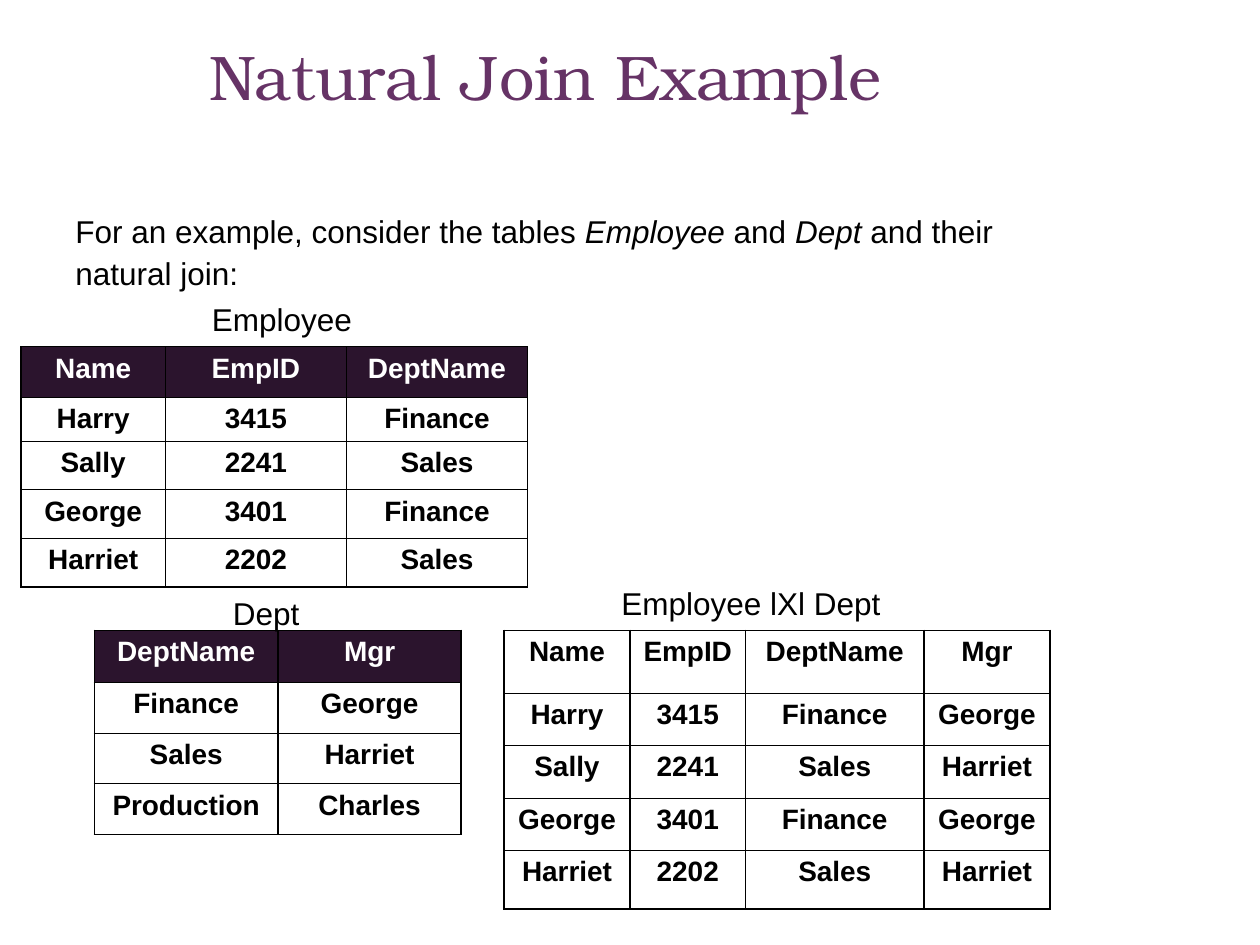
from lxml.etree import SubElement
from pptx import Presentation
from pptx.dml.color import RGBColor
from pptx.enum.text import MSO_ANCHOR as Anchor, MSO_AUTO_SIZE as AutoSize, PP_ALIGN as Align
from pptx.oxml.ns import qn
from pptx.util import Pt

BLACK, WHITE, PURPLE, PLUM = "000000", "FFFFFF", "663366", "2B142D"
THIN, THICK = 0.45, 1.08

EMPLOYEES = [
    ("Harry", "3415", "Finance"),
    ("Sally", "2241", "Sales"),
    ("George", "3401", "Finance"),
    ("Harriet", "2202", "Sales"),
]
DEPARTMENTS = [("Finance", "George"), ("Sales", "Harriet"), ("Production", "Charles")]
EMPLOYEE_HEAD = ("Name", "EmpID", "DeptName")
DEPT_HEAD = ("DeptName", "Mgr")


def hex_color(value):
    return RGBColor.from_string(value)


def set_font(para, size, color=BLACK, name="Arial", bold=False):
    font = para.font
    font.name, font.size, font.bold = name, Pt(size), bold
    font.color.rgb = hex_color(color)


def add_title(slide, text):
    title = slide.shapes.title
    title.left, title.top, title.width, title.height = Pt(17), Pt(18), Pt(589), Pt(90)
    frame = title.text_frame
    frame.text = text
    frame.vertical_anchor = Anchor.TOP
    para = frame.paragraphs[0]
    para.alignment = Align.CENTER
    set_font(para, 36, PURPLE, "TeX Gyre Bonum")


def add_text_box(slide, left, top, width, height, wrap=True):
    box = slide.shapes.add_textbox(Pt(left), Pt(top), Pt(width), Pt(height))
    frame = box.text_frame
    frame.word_wrap = wrap
    frame.auto_size = AutoSize.SHAPE_TO_FIT_TEXT
    return frame


def add_caption(slide, text, left, top, width):
    frame = add_text_box(slide, left, top, width, 29)
    frame.text = text
    set_font(frame.paragraphs[0], 18)


def add_intro(slide, lines):
    """Each line is a list of (text, italic) pieces."""
    frame = add_text_box(slide, 0, 120, 580, 51, wrap=False)
    for number, line in enumerate(lines):
        para = frame.add_paragraph() if number else frame.paragraphs[0]
        para.level = 1
        properties = para._p.get_or_add_pPr()
        properties.set("marL", str(Pt(36)))
        properties.set("indent", "0")
        para.line_spacing = 0.9
        if number:
            para.space_before = Pt(4.5)
        set_font(para, 18)
        for text, italic in line:
            span = para.add_run()
            span.text = text
            span.font.italic = italic


def set_borders(cell, **widths):
    """Draw the L, R, T and B edges, in that order."""
    properties = cell._tc.get_or_add_tcPr()
    for side, width in widths.items():
        line = SubElement(properties, qn(f"a:ln{side}"), w=str(Pt(width)))
        fill = SubElement(line, qn("a:solidFill"))
        SubElement(fill, qn("a:srgbClr"), val=BLACK)


def add_grid(slide, left, top, widths, heights, rows, dark_head=True, inner=THICK):
    """Add a table; inner is the weight of the vertical lines between columns."""
    row_count, column_count = len(rows), len(widths)
    frame = slide.shapes.add_table(row_count, column_count, Pt(left), Pt(top),
                                   Pt(sum(widths)), Pt(sum(heights)))
    table = frame.table
    table.first_row = table.horz_banding = False
    for column, width in zip(table.columns, widths):
        column.width = Pt(width)
    for row, height in zip(table.rows, heights):
        row.height = Pt(height)
    for r, values in enumerate(rows):
        for c, value in enumerate(values):
            cell = table.cell(r, c)
            cell.text = value
            set_borders(cell,
                        L=THICK if c == 0 else inner,
                        R=THICK if c == column_count - 1 else inner,
                        T=THIN,
                        B=THICK if r == row_count - 1 else THIN)
            dark = dark_head and r == 0
            if dark:
                cell.fill.solid()
                cell.fill.fore_color.rgb = hex_color(PLUM)
            else:
                cell.fill.background()
            para = cell.text_frame.paragraphs[0]
            para.alignment = Align.CENTER
            set_font(para, 16, WHITE if dark else BLACK, bold=True)


def main():
    deck = Presentation()
    deck.slide_width, deck.slide_height = Pt(720), Pt(540)
    slide = deck.slides.add_slide(deck.slide_layouts[5])

    manager_of = dict(DEPARTMENTS)
    joined = [row + (manager_of[row[-1]],) for row in EMPLOYEES]

    add_title(slide, "Natural Join Example")
    add_grid(slide, 12, 198, [82.5, 103.5, 103.5], [29, 25] + [27.8] * 3,
             [EMPLOYEE_HEAD] + EMPLOYEES, inner=THIN)
    add_grid(slide, 54, 360, [104.8, 104.8], [29.8] + [29] * 3,
             [DEPT_HEAD] + DEPARTMENTS)
    add_grid(slide, 288, 360, [72, 66, 102, 72], [36] + [30] * 3 + [33.5],
             [EMPLOYEE_HEAD + ("Mgr",)] + joined, dark_head=False)
    add_caption(slide, "Employee", 114, 168, 98)
    add_caption(slide, "Dept", 126, 336, 114)
    add_caption(slide, "Employee lXl Dept", 348, 330, 216)
    add_intro(slide, [
        [("For an example, consider the tables ", False), ("Employee", True),
         (" and ", False), ("Dept", True), (" and their", False)],
        [("natural join:", False)],
    ])
    deck.save("out.pptx")


if __name__ == "__main__":
    main()
